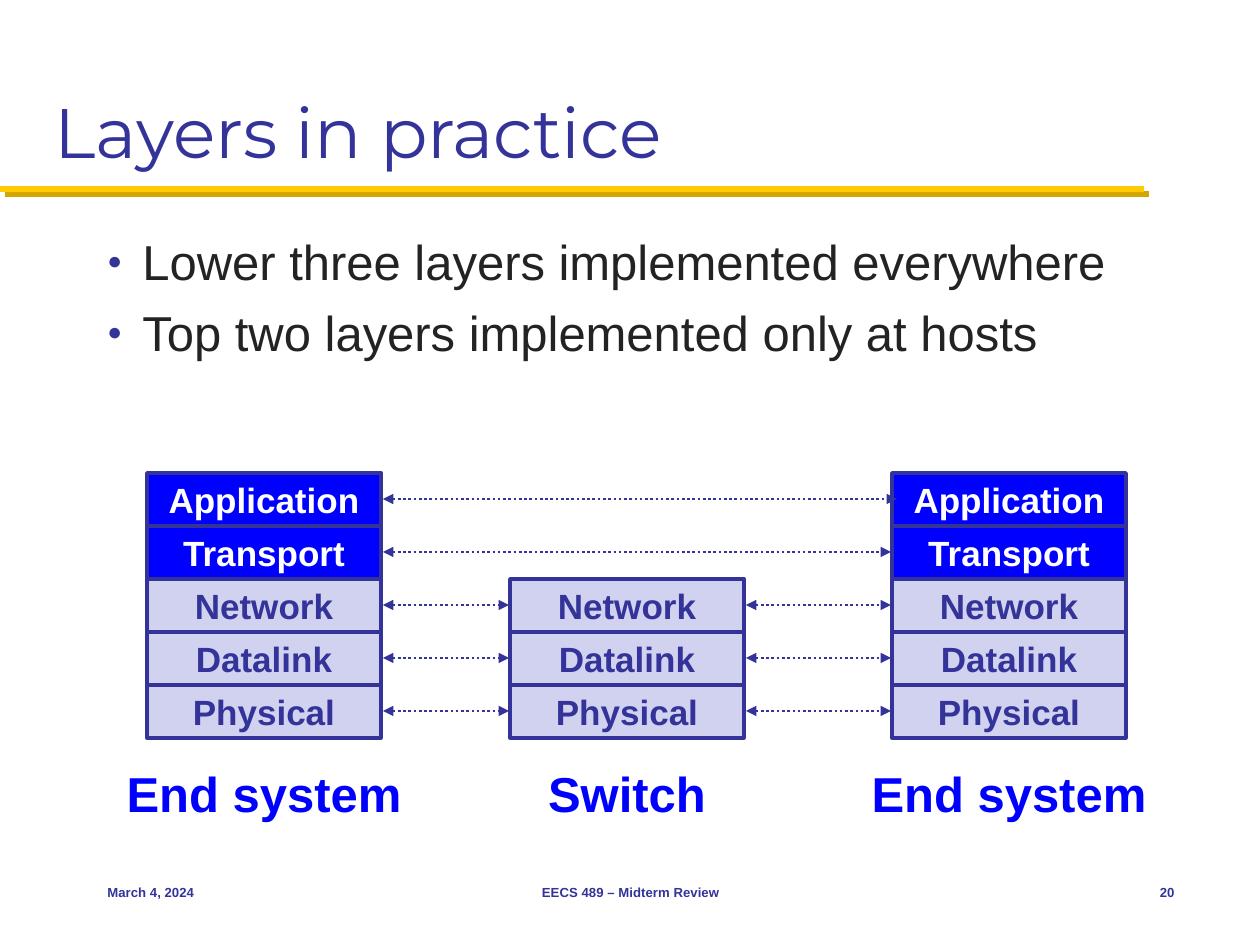
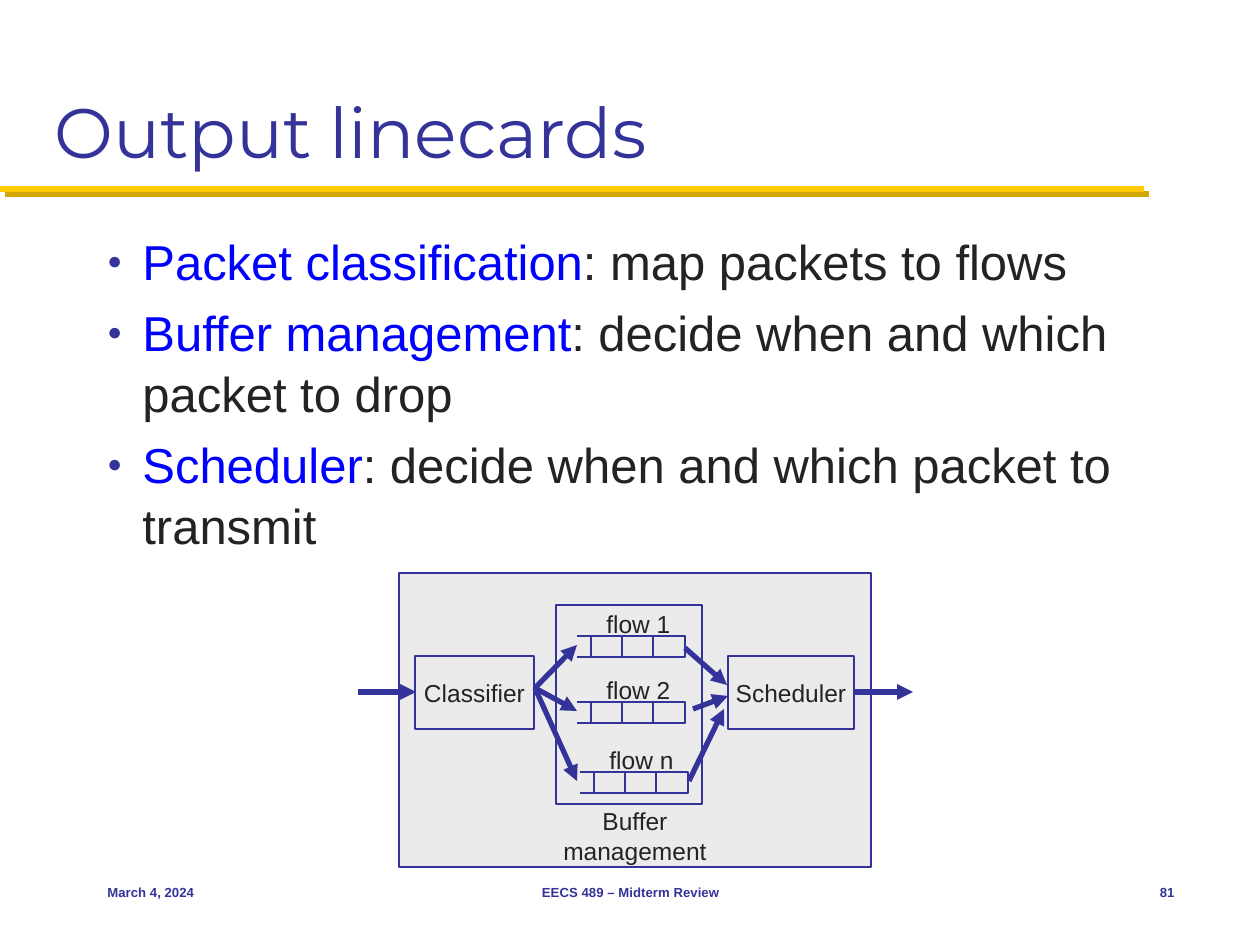
from dataclasses import dataclass

from lxml import etree
from pptx import Presentation
from pptx import util as u
from pptx.dml import color
from pptx.enum import dml, shapes, text
from pptx.oxml import ns

SCALE = 914400 / 126


@dataclass(frozen=True)
class Theme:
    navy: str = "333399"
    blue: str = "0000FF"
    ink: str = "232323"
    white: str = "FFFFFF"
    lavender: str = "D1D1F0"
    grey: str = "EBEBEB"
    gold: str = "FFCB05"
    dark_gold: str = "D3A600"
    title_font: str = "Montserrat"
    body_font: str = "Arial"
    title: float = 40
    body: float = 28
    layer: float = 20
    label: float = 14
    footer: float = 7.5


T = Theme()
LEFT, CENTER, RIGHT = text.PP_ALIGN.LEFT, text.PP_ALIGN.CENTER, text.PP_ALIGN.RIGHT
TOP, MIDDLE, BOTTOM = text.MSO_ANCHOR.TOP, text.MSO_ANCHOR.MIDDLE, text.MSO_ANCHOR.BOTTOM
LAYERS = ["Application", "Transport", "Network", "Datalink", "Physical"]
HOST_LAYERS = 2


def px(*lengths):
    return [u.Emu(round(n * SCALE)) for n in lengths]


def rgb(value):
    return color.RGBColor.from_string(value)


def sub(parent, tag, **attrs):
    return etree.SubElement(parent, ns.qn(tag), attrs)


def add_run(p, words, size, ink, bold=False, font=T.body_font):
    r = p.add_run()
    r.text = words
    r.font.size = u.Pt(size)
    r.font.name = font
    r.font.bold = bold
    r.font.color.rgb = rgb(ink)


def write(sp, words, size, ink, align=CENTER, anchor=MIDDLE, wrap=False, **style):
    tf = sp.text_frame
    tf.auto_size = text.MSO_AUTO_SIZE.NONE
    tf.word_wrap = wrap
    tf.vertical_anchor = anchor
    p = tf.paragraphs[0]
    p.alignment = align
    add_run(p, words, size, ink, **style)


def add_label(s, box, words, size, ink, **style):
    write(s.shapes.add_textbox(*px(*box)), words, size, ink, **style)


def add_rect(s, box, fill=None, weight=1):
    sp = s.shapes.add_shape(shapes.MSO_SHAPE.RECTANGLE, *px(*box))
    sp.shadow.inherit = False
    if fill:
        sp.fill.solid()
        sp.fill.fore_color.rgb = rgb(fill)
    else:
        sp.fill.background()
    sp.line.color.rgb = rgb(T.navy)
    sp.line.width = u.Pt(weight)
    return sp


def add_line(s, start, end, weight=1, ink=T.navy, ends=(), dash=None):
    c = s.shapes.add_connector(shapes.MSO_CONNECTOR.STRAIGHT, *px(*start, *end))
    c.line.color.rgb = rgb(ink)
    c.line.width = u.Pt(weight)
    if dash:
        c.line.dash_style = dash
    props = c.element.spPr
    for end_tag in ends:
        sub(props.find(ns.qn("a:ln")), end_tag, type="triangle")
    return sub(props, "a:effectLst")


def add_arrow(s, start, end):
    add_line(s, start, end, 3, ends=["a:tailEnd"])


def add_rule(s):
    effects = add_line(s, (0, 189), (1144, 189), 3.5, T.gold)
    shadow = sub(effects, "a:outerShdw", dist=str(u.Pt(4.2)), dir="2700000",
                 algn="ctr", rotWithShape="0")
    sub(shadow, "a:srgbClr", val=T.dark_gold)


def add_footer(s, number):
    for x, w, words, align in [(95, 262, "March 4, 2024", LEFT),
                               (431, 399, "EECS 489 – Midterm Review", CENTER),
                               (1103, 84, str(number), RIGHT)]:
        add_label(s, (x, 861, w, 63), words, T.footer, T.navy, align=align, bold=True)


def add_bullets(s, box, items):
    tf = s.shapes.add_textbox(*px(*box)).text_frame
    tf.word_wrap = True
    for i, (lead, rest) in enumerate(items):
        p = tf.add_paragraph() if i else tf.paragraphs[0]
        p.line_spacing = 1.04
        p.space_before = u.Pt(T.body * 0.2 if i else 0)
        props = p._p.get_or_add_pPr()
        indent = px(35)[0]
        props.set("marL", str(indent))
        props.set("indent", str(-indent))
        sub(sub(props, "a:buClr"), "a:srgbClr", val=T.navy)
        sub(props, "a:buSzPct", val="50000")
        sub(props, "a:buFont", typeface=T.body_font)
        sub(props, "a:buChar", char="●")
        if lead:
            add_run(p, lead, T.body, T.blue)
        add_run(p, rest, T.body, T.ink)


def add_slide(prs, title, bullets, number):
    s = prs.slides.add_slide(prs.slide_layouts[5])
    add_rule(s)
    sp = s.shapes.title
    sp.left, sp.top, sp.width, sp.height = px(42, 21, 1176, 158)
    write(sp, title, T.title, T.navy, align=LEFT, anchor=BOTTOM, wrap=True,
          font=T.title_font)
    add_bullets(s, (95, 223, 1092, 606), bullets)
    add_footer(s, number)
    return s


def add_stack(s, box, caption, first=0):
    x, y, w, row = box
    for i, layer in enumerate(LAYERS[first:], first):
        host = i < HOST_LAYERS
        sp = add_rect(s, (x, y + i * row, w, row), T.blue if host else T.lavender, 2)
        write(sp, layer, T.layer, T.white if host else T.navy, bold=True)
    add_label(s, (x + w // 2 - 152, y + 284, 304, 72), caption, T.body, T.blue,
              anchor=TOP, bold=True)


def add_layer_diagram(s, box):
    x, y, w, row = box
    left, switch, right = x, x + 363, x + 745
    add_stack(s, (left, y, w, row), "End system")
    add_stack(s, (switch, y, w, row), "Switch", HOST_LAYERS)
    add_stack(s, (right, y, w, row), "End system")
    for i in range(len(LAYERS)):
        links = [(left, right)] if i < HOST_LAYERS else [(left, switch), (switch, right)]
        level = y + i * row + row // 2
        for a, b in links:
            reach = 5 if i == 0 else -1
            add_line(s, (a + w + 2, level), (b + reach, level), 1.5,
                     ends=["a:headEnd", "a:tailEnd"], dash=dml.MSO_LINE.ROUND_DOT)


def add_queue(s, x, y, flow):
    mouth, cells, h = 14, 94, 21
    add_rect(s, (x + mouth, y, cells, h))
    for k in (1, 2):
        divider = x + mouth + cells * k // 3
        add_line(s, (divider, y), (divider, y + h))
    for edge in (y, y + h):
        add_line(s, (x, edge), (x + 24, edge))
    add_label(s, (x + 17, y - 33, 89, 42), flow, T.label, T.ink)


def add_linecard(s, box):
    x, y, w, h = box

    def at(dx, dy):
        return x + dx, y + dy

    add_rect(s, box, T.grey)
    add_rect(s, (*at(157, 32), 146, 199), T.grey)
    for dx, width, name in [(16, 119, "Classifier"), (329, 126, "Scheduler")]:
        write(add_rect(s, (*at(dx, 83), width, 73)), name, T.label, T.ink)
    for dx, dy, flow, leave, enter in [
            (178, 63, "flow 1", (286, 75), (328, 112)),
            (178, 129, "flow 2", (294, 136), (329, 123)),
            (181, 199, "flow n", (290, 208), (325, 136))]:
        add_queue(s, *at(dx, dy), flow)
        add_arrow(s, at(136, 115), at(178, dy + 9))
        add_arrow(s, at(*leave), at(*enter))
    for dx in (-41, 456):
        add_arrow(s, at(dx, 119), at(dx + 58, 119))
    add_label(s, (*at(130, 227), 212, 72), "Buffer management", T.label, T.ink,
              anchor=TOP, wrap=True)


def main():
    prs = Presentation()
    prs.slide_width, prs.slide_height = px(1260, 945)

    s = add_slide(prs, "Layers in practice", [
        ("", "Lower three layers implemented everywhere"),
        ("", "Top two layers implemented only at hosts")], 20)
    add_layer_diagram(s, (147, 473, 234, 53))

    s = add_slide(prs, "Output linecards", [
        ("Packet classification", ": map packets to flows"),
        ("Buffer management", ": decide when and which packet to drop"),
        ("Scheduler", ": decide when and which packet to transmit")], 81)
    add_linecard(s, (399, 573, 472, 294))

    prs.save("out.pptx")


if __name__ == "__main__":
    main()
